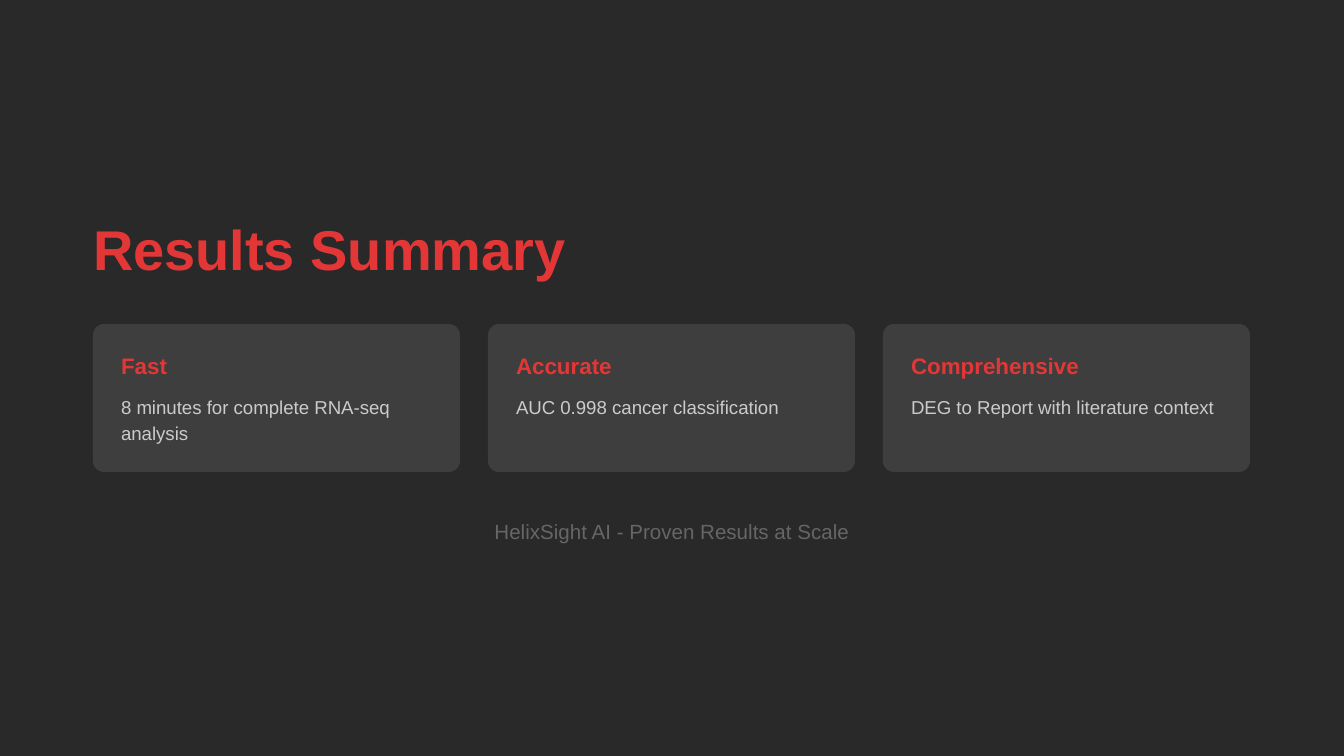
from lxml.etree import SubElement
from pptx import Presentation
from pptx.dml.color import RGBColor
from pptx.enum.shapes import MSO_SHAPE
from pptx.enum.text import PP_ALIGN
from pptx.oxml.ns import qn
from pptx.util import Emu, Pt

PAGE_WIDTH, PAGE_HEIGHT = 1344, 756
EMU_PER_PX = 9144000 / PAGE_WIDTH
FONT = "Arial"
CHARCOAL = RGBColor(0x29, 0x29, 0x29)
RED = RGBColor(0xE3, 0x37, 0x37)
WHITE = RGBColor(0xFF, 0xFF, 0xFF)
LIGHT_GREY = RGBColor(0xCC, 0xCB, 0xCB)
DARK_GREY = RGBColor(0x66, 0x66, 0x66)
RESULTS = [
    ("Fast", "8 minutes for complete RNA-seq analysis"),
    ("Accurate", "AUC 0.998 cancer classification"),
    ("Comprehensive", "DEG to Report with literature context"),
]


def px(length):
    """Turn a length in px into EMU."""
    return Emu(round(length * EMU_PER_PX))


def add_text(page, text, box, size, color, bold=False, align=PP_ALIGN.LEFT,
             line=None, after=0):
    """Add one paragraph in a text box without insets."""
    frame = page.shapes.add_textbox(*map(px, box)).text_frame
    frame.word_wrap = True
    frame.margin_left = frame.margin_top = 0
    frame.margin_right = frame.margin_bottom = 0
    para = frame.paragraphs[0]
    para.alignment = align
    para.space_after = Pt(after)
    if line:
        para.line_spacing = Pt(line)
    span = para.add_run()
    span.text = text
    span.font.name = FONT
    span.font.size = Pt(size)
    span.font.bold = bold
    span.font.color.rgb = color


def add_card(page, box, heading, detail):
    """Add a translucent rounded card with its heading and detail."""
    left, top, width, height = box
    card = page.shapes.add_shape(MSO_SHAPE.ROUNDED_RECTANGLE, *map(px, box))
    card.adjustments[0] = 0.075
    card.shadow.inherit = False
    card.line.fill.background()
    card.fill.solid()
    card.fill.fore_color.rgb = WHITE
    tint = card.fill._xPr.find(f".//{qn('a:srgbClr')}")
    SubElement(tint, qn("a:alpha"), val="10000")
    padding = 28
    text_left, text_width = left + padding, width - 50
    add_text(page, heading, (text_left, top + padding, text_width, 26),
             size=12, color=RED, bold=True, after=8)
    add_text(page, detail, (text_left, top + 68, text_width, height - 96),
             size=10, color=LIGHT_GREY, line=14)


def add_cards(page, box, gap=28):
    """Share the box out equally among the result cards."""
    left, top, width, height = box
    card_width = (width - gap * (len(RESULTS) - 1)) // len(RESULTS)
    for index, (heading, detail) in enumerate(RESULTS):
        card_left = left + index * (card_width + gap)
        add_card(page, (card_left, top, card_width, height), heading, detail)


def main():
    """Build the results summary page."""
    deck = Presentation()
    deck.slide_width, deck.slide_height = px(PAGE_WIDTH), px(PAGE_HEIGHT)
    page = deck.slides.add_slide(deck.slide_layouts[6])
    page.background.fill.solid()
    page.background.fill.fore_color.rgb = CHARCOAL
    add_text(page, "Results Summary", (93, 215, 1180, 63),
             size=30, color=RED, bold=True, after=25)
    add_cards(page, (93, 324, 1157, 148))
    add_text(page, "HelixSight AI - Proven Results at Scale", (82, 519, 1180, 23),
             size=11, color=DARK_GREY, align=PP_ALIGN.CENTER)
    deck.save("out.pptx")


if __name__ == "__main__":
    main()
